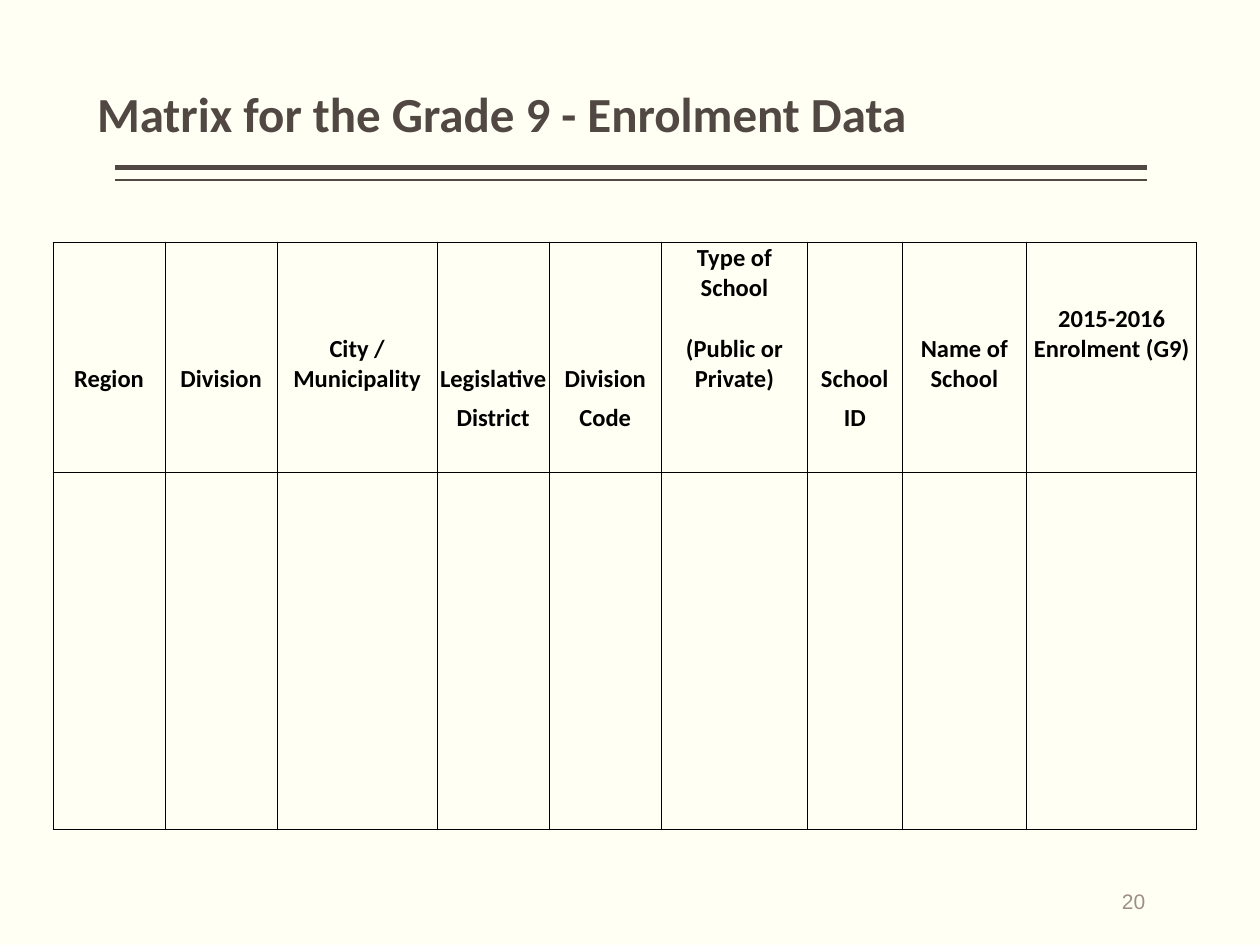
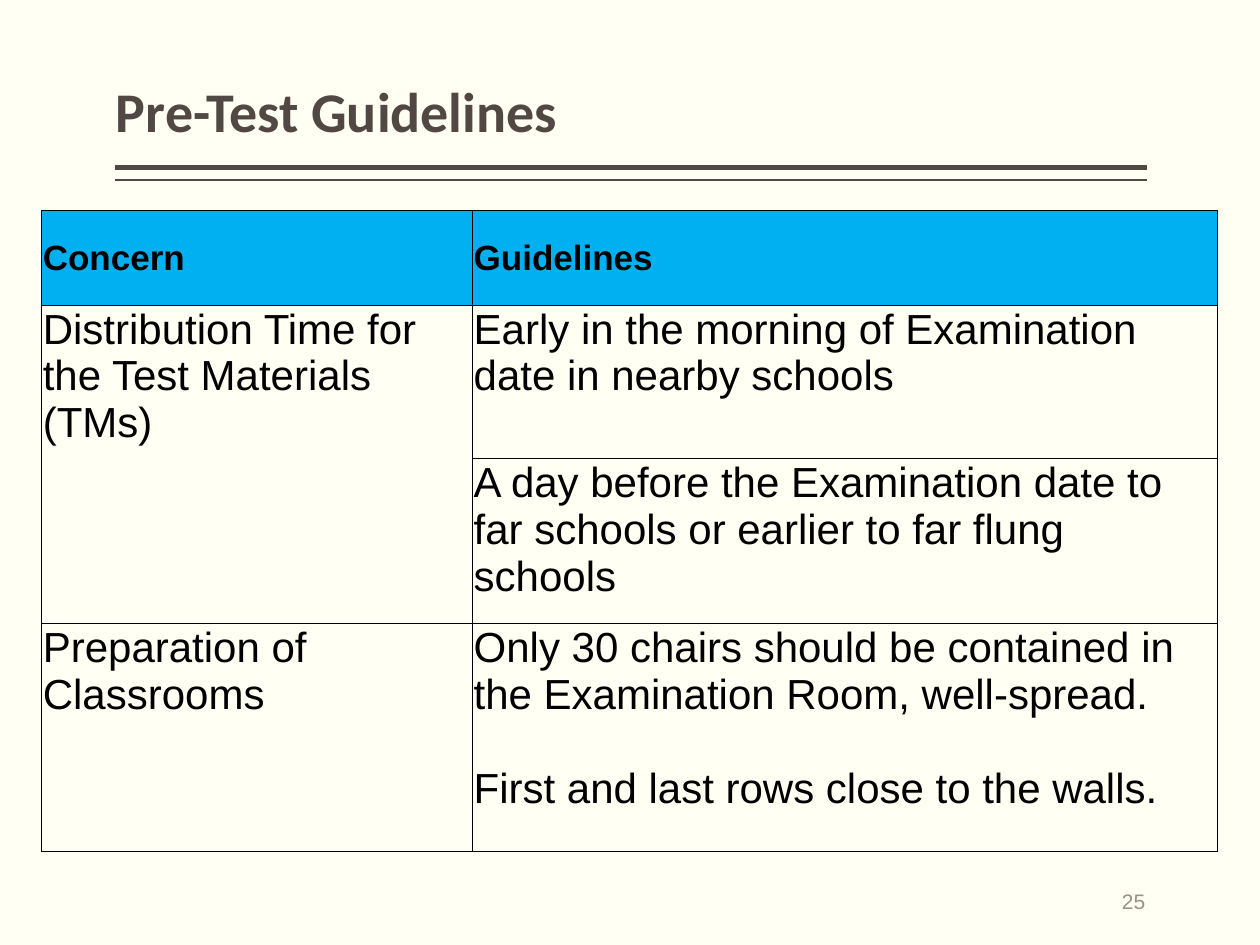
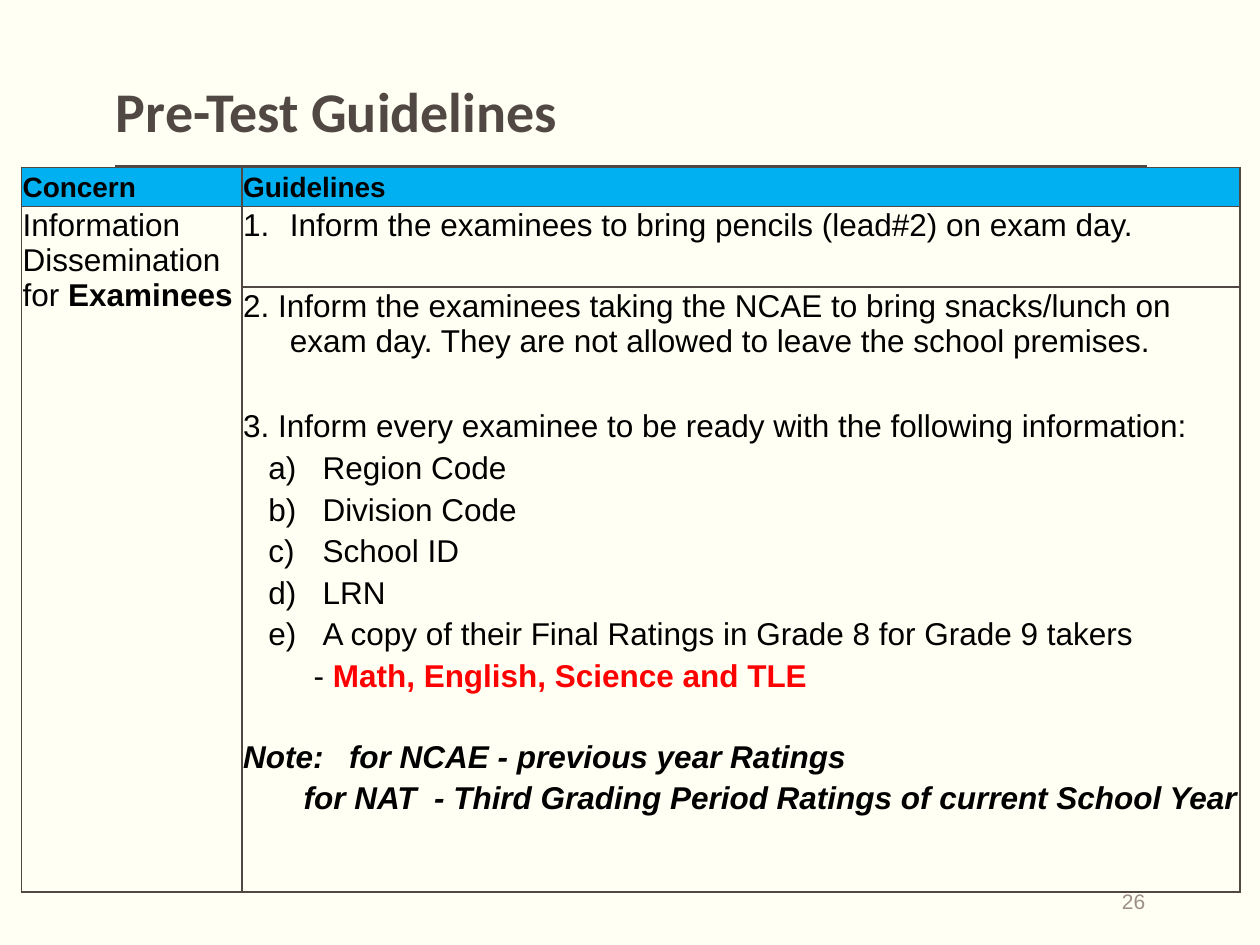
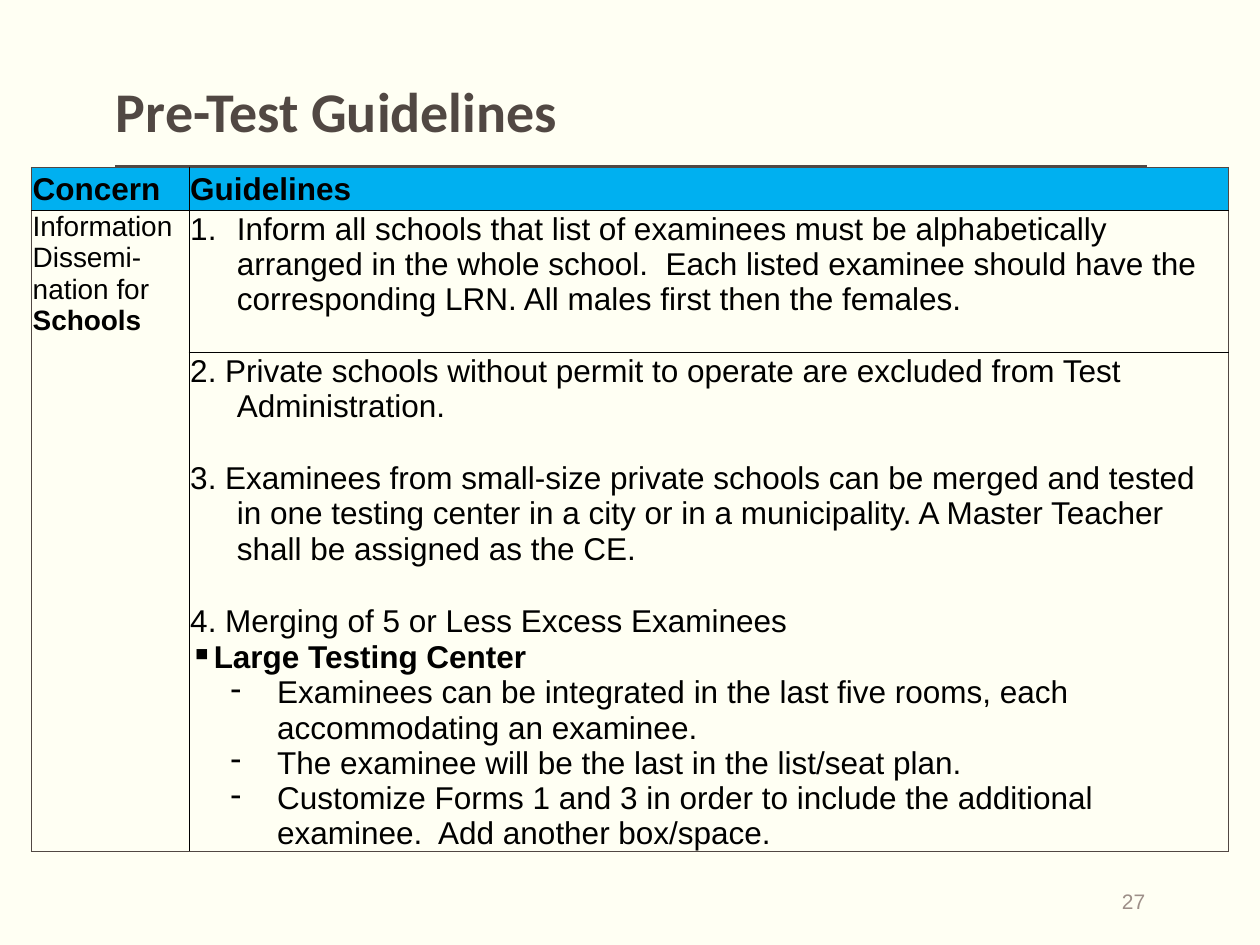
from dataclasses import dataclass

from lxml import etree
from pptx import Presentation
from pptx.dml.color import RGBColor
from pptx.enum import shapes, text
from pptx.oxml import ns
from pptx.util import Inches, Pt

CREAM = RGBColor(0xFF, 0xFF, 0xF3)
BROWN = RGBColor(0x51, 0x48, 0x43)
TAUPE = RGBColor(0x9D, 0x8F, 0x88)
BLACK = RGBColor(0, 0, 0)
BLUE = RGBColor(0, 0xB0, 0xF0)
RED = RGBColor(0xFF, 0, 0)

THIN = (BLACK, 0.5)
STRONG = (BROWN, 1)
NO_GRID_STYLE = "{2D5ABB26-0587-4C30-8999-92F81FD0307C}"
ANCHOR = text.MSO_ANCHOR
ALIGN = text.PP_ALIGN


@dataclass
class Run:
    text: str
    bold: bool = False
    italic: bool = False
    color: RGBColor = BLACK
    size: float = None


@dataclass
class Paragraph:
    runs: list
    left: float = 0
    first: float = 0
    bullet: str = None
    before: float = 0


def plain(words, **layout):
    return Paragraph([Run(words)], **layout)


def item(words, **layout):
    """Numbered line whose wrapped lines hang."""
    return plain(words, left=0.37, first=-0.37, **layout)


def lettered(words):
    return plain(words, left=0.63, first=-0.43)


def dashed(words):
    return plain(words, left=0.69, first=-0.37, bullet="-")


def bold(words):
    return Paragraph([Run(words, bold=True)])


class Deck:
    def __init__(self):
        self.presentation = Presentation()
        self.presentation.slide_width = Inches(10)
        self.presentation.slide_height = Inches(7.5)
        self.layout = self.presentation.slide_layouts[5]
        fill = self.presentation.slide_master.background.fill
        fill.solid()
        fill.fore_color.rgb = CREAM
        self.slide = None

    def add_slide(self, number, title, **title_style):
        self.slide = self.presentation.slides.add_slide(self.layout)
        if number == 20:
            self.share_rules()
        self.title(title, **title_style)
        self.page_number(number)

    def share_rules(self):
        """Draw the double rule and hand it to the layout, so every slide shows it."""
        for index, (y, weight) in enumerate(((1.33, 3), (1.43, 1))):
            rule = self.slide.shapes.add_connector(
                shapes.MSO_CONNECTOR.STRAIGHT,
                Inches(9.1), Inches(y), Inches(0.91), Inches(y))
            rule.line.color.rgb = BROWN
            rule.line.width = Pt(weight)
            element = rule.element
            etree.SubElement(element.spPr, ns.qn("a:effectLst"))
            element.nvCxnSpPr.cNvPr.set("id", str(20 + index))
            self.layout.shapes.element.append(element)

    def frame(self, shape, anchor, side_margin):
        frame = shape.text_frame
        frame.word_wrap = True
        frame.auto_size = text.MSO_AUTO_SIZE.NONE
        frame.vertical_anchor = anchor
        frame.margin_left = frame.margin_right = Inches(side_margin)
        frame.margin_top = frame.margin_bottom = Inches(0.05)
        return frame.paragraphs[0]

    def title(self, words, box=(0.92, 0.33, 8.5, 0.87), size=32,
              anchor=ANCHOR.BOTTOM, side_margin=0, spacing=0.9):
        shape = self.slide.shapes.title
        shape.left, shape.top, shape.width, shape.height = map(Inches, box)
        paragraph = self.frame(shape, anchor, side_margin)
        paragraph.alignment = ALIGN.LEFT
        paragraph.line_spacing = spacing
        self.run(paragraph, Run(words, bold=True, color=BROWN), size, "Calibri")

    def page_number(self, number):
        shape = self.slide.shapes.add_textbox(
            Inches(7.59), Inches(6.95), Inches(1.5), Inches(0.4))
        paragraph = self.frame(shape, ANCHOR.MIDDLE, 0)
        paragraph.alignment = ALIGN.RIGHT
        self.run(paragraph, Run(str(number), color=TAUPE), 12, "Arial")

    def run(self, paragraph, content, size, font):
        run = paragraph.add_run()
        run.text = content.text
        run.font.name = font
        run.font.size = Pt(content.size or size)
        run.font.bold = content.bold
        run.font.italic = content.italic
        run.font.color.rgb = content.color

    def paragraph(self, paragraph, content, size, font, alignment):
        paragraph.alignment = alignment
        paragraph.space_before = Pt(content.before)
        properties = paragraph._p.get_or_add_pPr()
        properties.set("marL", str(Inches(content.left)))
        properties.set("indent", str(Inches(content.first)))
        if content.bullet == "1.":
            etree.SubElement(properties, ns.qn("a:buAutoNum"), type="arabicPeriod")
        elif content.bullet:
            etree.SubElement(properties, ns.qn("a:buChar"), char=content.bullet)
        for run in content.runs:
            self.run(paragraph, run, size, font)

    def cell(self, cell, contents, size, font, anchor, alignment):
        cell.vertical_anchor = anchor
        cell.margin_left = cell.margin_right = cell.margin_top = Inches(0.01)
        cell.margin_bottom = 0
        frame = cell.text_frame
        if not contents:
            frame.paragraphs[0]._p.get_or_add_endParaRPr().set("sz", str(size * 100))
        for index, content in enumerate(contents):
            target = frame.add_paragraph() if index else frame.paragraphs[0]
            self.paragraph(target, content, size, font, alignment)

    def border(self, cell, side, style):
        properties = cell._tc.get_or_add_tcPr()
        color, weight = style
        line = etree.SubElement(properties, ns.qn("a:ln" + side), w=str(Pt(weight)))
        fill = etree.SubElement(line, ns.qn("a:solidFill"))
        etree.SubElement(fill, ns.qn("a:srgbClr"), val=str(color))

    def table(self, left, top, columns, heights, rows, size, ruled_rows,
              merges=(), outer=THIN, inner=THIN, font="Arial",
              anchor=ANCHOR.TOP, alignment=ALIGN.LEFT, header_size=None):
        """Place a table; ruled_rows are the rows with a line below them."""
        table_frame = self.slide.shapes.add_table(
            len(heights), len(columns), Inches(left), Inches(top),
            Inches(sum(columns)), Inches(sum(heights)))
        table = table_frame.table
        table.first_row = table.horz_banding = False
        table._tbl.tblPr.find(ns.qn("a:tableStyleId")).text = NO_GRID_STYLE
        for column, width in zip(table.columns, columns):
            column.width = Inches(width)
        for row, height in zip(table.rows, heights):
            row.height = Inches(height)
        for start, end in merges:
            table.cell(*start).merge(table.cell(*end))

        row_lines = {0: outer, len(heights): outer}
        row_lines.update({row + 1: inner for row in ruled_rows})
        column_lines = dict.fromkeys(range(len(columns) + 1), inner)
        column_lines[0] = column_lines[len(columns)] = outer
        for r in range(len(heights)):
            for c in range(len(columns)):
                cell = table.cell(r, c)
                contents = rows[r].get(c, []) if r < len(rows) else []
                is_header = header_size and r == 0
                self.cell(cell, contents, header_size if is_header else size, font,
                          ANCHOR.MIDDLE if is_header else anchor, alignment)
                if not cell.is_spanned:
                    edges = (("L", column_lines.get(c)),
                             ("R", column_lines.get(c + cell.span_width)),
                             ("T", row_lines.get(r)),
                             ("B", row_lines.get(r + cell.span_height)))
                    for side, style in edges:
                        if style:
                            self.border(cell, side, style)
                if is_header:
                    cell.fill.solid()
                    cell.fill.fore_color.rgb = BLUE
                else:
                    cell.fill.background()
        return table

    def guidelines(self, left, top, columns, heights, concerns, guidelines, **style):
        """Table of concerns (by row) beside one guideline per row."""
        rows = [{0: [bold("Concern")], 1: [bold("Guidelines")]}]
        for index, guideline in enumerate(guidelines, start=1):
            rows.append({0: concerns.get(index, []), 1: guideline})
        self.table(left, top, columns, heights, rows, **style)


def enrolment_slide(deck):
    deck.add_slide(20, "Matrix for the Grade 9 - Enrolment Data",
                   box=(0.67, 0.58, 9, 0.63), size=28, anchor=ANCHOR.MIDDLE,
                   side_margin=0.1, spacing=1)
    headings = [
        {5: "Type of School"},
        dict(enumerate(["Region", "Division", "City / Municipality", "Legislative",
                        "Division", "(Public or Private)", "School",
                        "Name of School", "2015-2016 Enrolment (G9)"])),
        {3: "District", 4: "Code", 6: "ID"},
    ]
    rows = [{column: [bold(words)] for column, words in row.items()}
            for row in headings]
    table = deck.table(
        0.42, 1.92, [0.89, 0.89, 1.27, 0.89, 0.89, 1.16, 0.75, 0.99, 0.69, 0.66],
        [0.48, 0.72, 0.31, 0.31, 2.84], rows, size=14, ruled_rows=[3],
        merges=[((row, 8), (row, 9)) for row in range(5)],
        font="Calibri", anchor=ANCHOR.BOTTOM, alignment=ALIGN.CENTER)
    table.cell(1, 8).margin_bottom = Inches(0.24)


def preparation_slide(deck):
    deck.add_slide(25, "Pre-Test Guidelines")
    deck.guidelines(
        0.33, 1.67, [3.42, 5.91], [0.75, 1.22, 1.31, 1.81],
        {1: [plain("Distribution Time for the Test Materials (TMs)")],
         3: [plain("Preparation of Classrooms")]},
        [[plain("Early in the morning of Examination date in nearby schools")],
         [plain("A day before the Examination date to far schools or earlier "
                "to far flung schools")],
         [plain("Only 30 chairs should be contained in the Examination Room, "
                "well-spread."),
          plain("First and last rows close to the walls.", before=27)]],
        size=24, header_size=20, ruled_rows=[0, 2], merges=[((1, 0), (2, 0))])


def examinees_slide(deck):
    deck.add_slide(26, "Pre-Test Guidelines")
    letters = ["a)\tRegion Code", "b)\tDivision Code", "c)\tSchool ID", "d)\tLRN",
               "e)\tA copy of their Final Ratings in Grade 8 for Grade 9 takers"]
    subjects = Paragraph([Run("- "), Run("Math, English, Science and TLE",
                                         bold=True, color=RED)], left=0.56)
    notes = [
        Paragraph([Run("Note:\tfor NCAE - previous year Ratings", True, True)],
                  left=0.84, first=-0.84),
        Paragraph([Run("for NAT  - Third Grading Period Ratings of current "
                       "School Year", True, True)], first=0.48),
    ]
    guidelines = [
        item("Inform the examinees to bring pencils (lead#2) on exam day.", bullet="1."),
        item("2. Inform the examinees taking the NCAE to bring snacks/lunch on "
             "exam day. They are not allowed to leave the school premises."),
        plain("3. Inform every examinee to be ready with the following information:"),
        *map(lettered, letters), subjects, *notes]
    deck.guidelines(
        0.17, 1.33, [1.75, 7.92],
        [0.31, 0.64, 0.96] + [0.33] * 6 + [0.64, 0.33, 0.56, 0.33],
        {1: [Paragraph([Run("Information Dissemination for "),
                        Run("Examinees", bold=True)])]},
        [[guideline] for guideline in guidelines],
        size=18, header_size=16, ruled_rows=[0], merges=[((1, 0), (12, 0))],
        outer=STRONG, inner=STRONG)


def schools_slide(deck):
    deck.add_slide(27, "Pre-Test Guidelines")
    deck.guidelines(
        0.25, 1.33, [1.25, 8.25], [0.34, 1.13, 0.85, 1.13, 0.28, 1.69],
        {1: [Paragraph([Run("Information Dissemi-nation for ", size=16),
                        Run("Schools", bold=True, size=16)])]},
        [[item("Inform all schools that list of examinees must be alphabetically "
               "arranged in the whole school.  Each listed examinee should have the "
               "corresponding LRN. All males first then the females.", bullet="1.")],
         [item("2. Private schools without permit to operate are excluded from Test "
               "Administration.")],
         [item("3. Examinees from small-size private schools can be merged and tested "
               "in one testing center in a city or in a municipality. A Master Teacher "
               "shall be assigned as the CE.")],
         [plain("4. Merging of 5 or Less Excess Examinees")],
         [Paragraph([Run("Large Testing Center", bold=True)],
                    left=0.16, first=-0.16, bullet="▪"),
          dashed("Examinees can be integrated in the last five rooms, each "
                 "accommodating an examinee."),
          dashed("The examinee will be the last in the list/seat plan."),
          dashed("Customize Forms 1 and 3 in order to include the additional "
                 "examinee.  Add another box/space.")]],
        size=18, header_size=18, ruled_rows=[0], merges=[((1, 0), (5, 0))],
        outer=STRONG)


def main():
    deck = Deck()
    enrolment_slide(deck)
    preparation_slide(deck)
    examinees_slide(deck)
    schools_slide(deck)
    deck.presentation.save("out.pptx")


if __name__ == "__main__":
    main()
